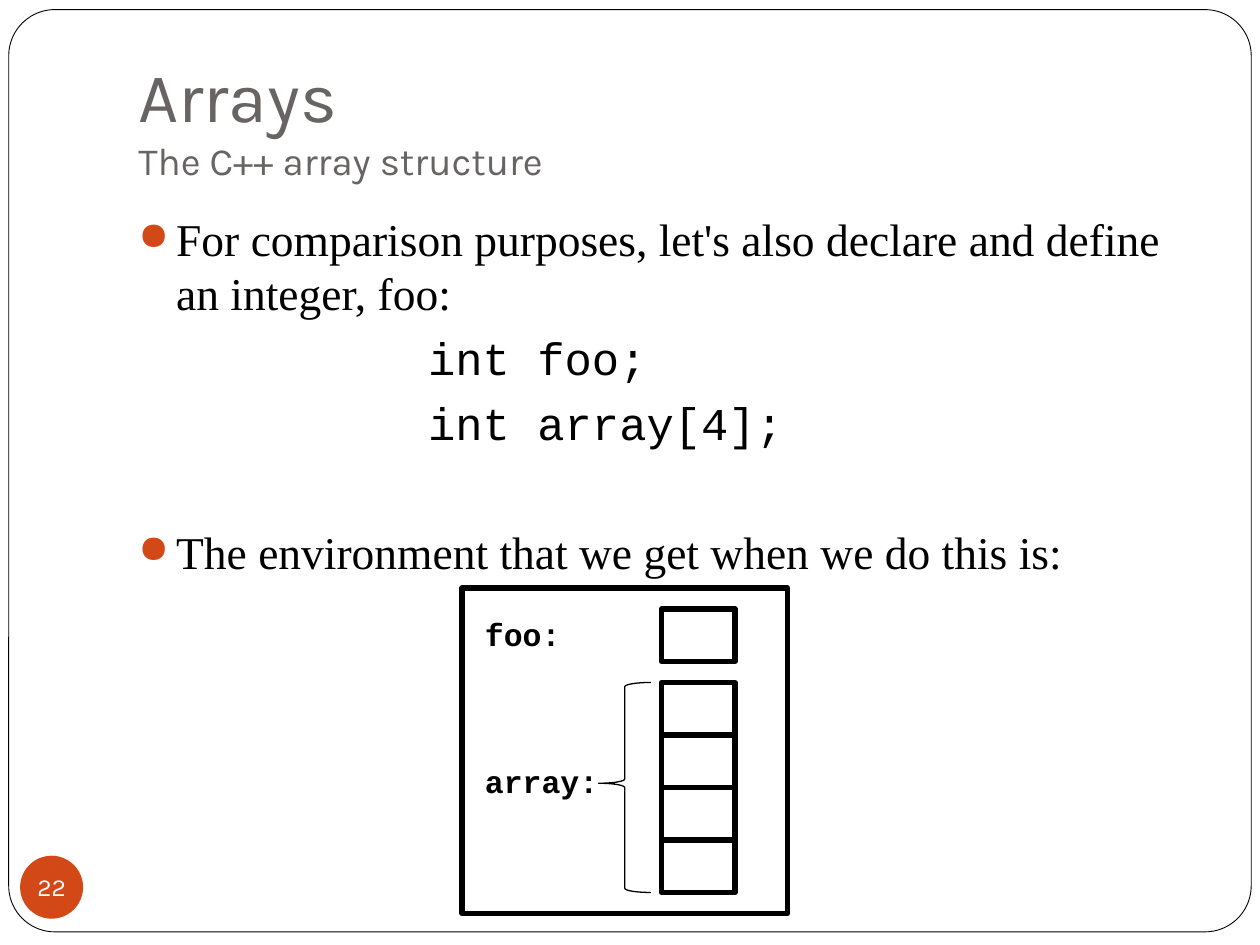
from lxml import etree
from pptx import Presentation
from pptx.dml.color import RGBColor
from pptx.enum.shapes import MSO_SHAPE
from pptx.enum.text import MSO_ANCHOR, PP_ALIGN
from pptx.oxml.ns import qn
from pptx.util import Pt

BLACK, WHITE, GREY, ORANGE = "000000", "FFFFFF", "696464", "D34817"
HEADING, BODY, CODE = "Karla", "Times New Roman", "Courier New"


def color(value):
    return RGBColor.from_string(value)


def add_box(slide, kind, box, fill=None, line=None, width=0.75):
    shape = slide.shapes.add_shape(kind, *map(Pt, box))
    shape.shadow.inherit = False
    if fill:
        shape.fill.solid()
        shape.fill.fore_color.rgb = color(fill)
    else:
        shape.fill.background()
    if line:
        shape.line.color.rgb = color(line)
        shape.line.width = Pt(width)
    else:
        shape.line.fill.background()
    return shape


def set_frame(frame, **format_values):
    for name, value in format_values.items():
        setattr(frame, name, value)


def add_run(paragraph, text, font, size, ink, bold=False):
    run = paragraph.add_run()
    run.text = text
    values = {"name": font, "size": Pt(size), "bold": bold}
    for name, value in values.items():
        setattr(run.font, name, value)
    run.font.color.rgb = color(ink)


def add_bullet(paragraph):
    properties = paragraph._p.get_or_add_pPr()
    bullet_color = etree.SubElement(properties, qn("a:buClr"))
    etree.SubElement(bullet_color, qn("a:srgbClr"), val=ORANGE)
    etree.SubElement(properties, qn("a:buSzPct"), val="85000")
    etree.SubElement(properties, qn("a:buChar"), char="●")


def add_heading(slide, box, title, subtitle):
    frame = slide.shapes.add_textbox(*map(Pt, box)).text_frame
    set_frame(frame, word_wrap=True, vertical_anchor=MSO_ANCHOR.BOTTOM,
              margin_bottom=Pt(7.2))
    paragraph = frame.paragraphs[0]
    add_run(paragraph, title, HEADING, 40, GREY)
    paragraph.add_line_break()
    add_run(paragraph, subtitle, HEADING, 22, GREY)


def add_body(slide, box, items):
    frame = slide.shapes.add_textbox(*map(Pt, box)).text_frame
    frame.word_wrap = True
    for index, (text, is_code, space) in enumerate(items):
        paragraph = frame.add_paragraph() if index else frame.paragraphs[0]
        paragraph.space_before = Pt(space)
        properties = paragraph._p.get_or_add_pPr()
        properties.set("marL", str(Pt(165.6 if is_code else 21.6)))
        properties.set("indent", str(Pt(0 if is_code else -21.6)))
        if not is_code:
            add_bullet(paragraph)
        add_run(paragraph, text, CODE if is_code else BODY, 26, BLACK)


def add_memory_diagram(slide, box, array_length):
    left, top, _, _ = box
    cell_width, cell_height = 42, 30
    cell_left, foo_top, array_top = left + 114, top + 12, top + 54
    add_box(slide, MSO_SHAPE.RECTANGLE, box, line=BLACK, width=3)

    # Cells: one for foo, then the stacked array
    cell_tops = [foo_top] + [array_top + i * cell_height
                             for i in range(array_length)]
    for cell_top in cell_tops:
        add_box(slide, MSO_SHAPE.RECTANGLE,
                (cell_left, cell_top, cell_width, cell_height),
                line=BLACK, width=3)

    # Variable names
    for name, label_top, width in (("foo:", foo_top, 58),
                                   ("array:", top + 96, 80)):
        label = slide.shapes.add_textbox(
            *map(Pt, (left + 6, label_top, width, 29)))
        label.text_frame.word_wrap = False
        add_run(label.text_frame.paragraphs[0], name, CODE, 18, BLACK, True)

    # Brace spanning the array
    brace = add_box(slide, MSO_SHAPE.LEFT_BRACE,
                    (left + 78, array_top, 30, array_length * cell_height),
                    line=BLACK)
    brace.adjustments[0], brace.adjustments[1] = 0.08, 0.48


def add_page_number(slide, box, number):
    badge = add_box(slide, MSO_SHAPE.OVAL, box, fill=ORANGE)
    frame = badge.text_frame
    set_frame(frame, word_wrap=False, vertical_anchor=MSO_ANCHOR.MIDDLE,
              margin_left=0, margin_right=0, margin_top=0, margin_bottom=0)
    frame.paragraphs[0].alignment = PP_ALIGN.CENTER
    add_run(frame.paragraphs[0], number, HEADING, 14, WHITE)


def main():
    deck = Presentation()
    deck.slide_width, deck.slide_height = Pt(720), Pt(540)
    slide = deck.slides.add_slide(deck.slide_layouts[6])

    # Rounded page border
    border = add_box(slide, MSO_SHAPE.ROUNDED_RECTANGLE, (5, 5.5, 710, 527),
                     fill=WHITE, line=BLACK, width=0.5)
    border.adjustments[0] = 0.05

    add_heading(slide, (72, 21.6, 612, 90), "Arrays",
                "The C++ array structure")
    # Each item: text, whether it is code, space before
    add_body(slide, (72, 117, 612, 360), [
        ("For comparison purposes, let's also declare and define "
         "an integer, foo:", False, 0),
        ("int foo;", True, 5.8),
        ("int array[4];", True, 5.8),
        ("The environment that we get when we do this is:", False, 42.5),
    ])
    add_memory_diagram(slide, (264, 336, 186, 186), 4)
    add_page_number(slide, (11.5, 489, 36, 36), "22")
    deck.save("out.pptx")


if __name__ == "__main__":
    main()
